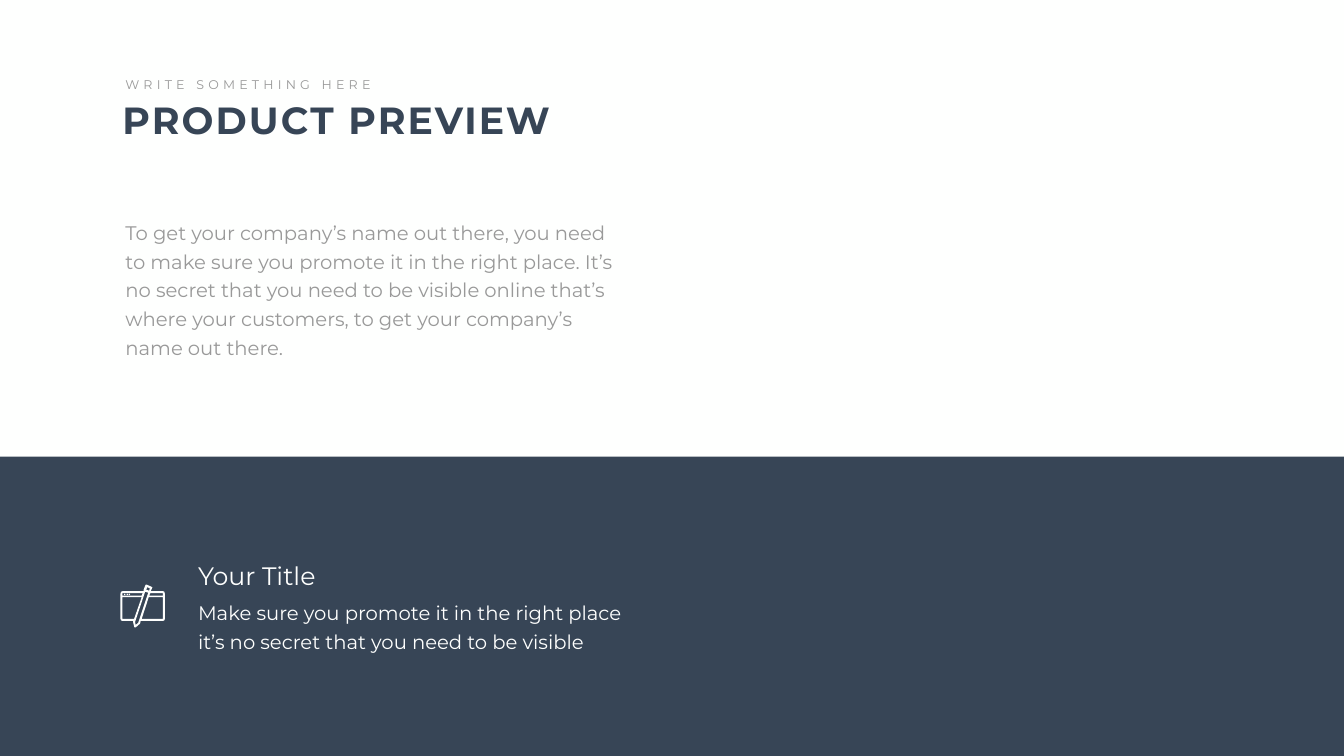
from pptx import Presentation
from pptx import util as u
from pptx.dml.color import RGBColor
from pptx.enum import shapes, text

PX = 9144
FONT = "Montserrat"
NAVY, GRAY, WHITE = "374556", "999999", "FEFFFE"
BODY_SIZE, BODY_LEADING = 28, 40.8

WINDOW_AND_PEN = [
    [(323, 1228), (281, 1228), (295, 1185), (323, 1185)],
    [(269, 1240), (268, 1234), (288, 1174), (294, 1176), (274, 1236)],
    [(243, 1228), (243, 1185), (281, 1185), (266, 1228)],
    [(243, 1177), (283, 1177), (281, 1182), (243, 1182)],
    [(292, 1165), (297, 1167), (296, 1172), (290, 1170)],
    [(323, 1177), (323, 1182), (296, 1182), (298, 1177)],
    [(323, 1173), (299, 1173), (302, 1166), (302, 1165), (300, 1164),
     (291, 1160), (289, 1160), (288, 1162), (285, 1170), (285, 1173),
     (243, 1173), (240, 1174), (239, 1178), (239, 1228), (240, 1231),
     (243, 1232), (264, 1232), (264, 1234), (266, 1243), (267, 1245),
     (269, 1245), (277, 1238), (278, 1237), (279, 1232), (323, 1232),
     (326, 1231), (327, 1228), (327, 1178), (326, 1174)],
]


def px(*lengths):
    """Turn px lengths into EMU."""
    return [u.Emu(n * PX) for n in lengths]


def rgb(color):
    """Turn a hex string into a colour."""
    return RGBColor.from_string(color)


def paint(sp, color):
    """Give a shape a plain fill with no line or shadow."""
    sp.fill.solid()
    sp.fill.fore_color.rgb = rgb(color)
    sp.line.fill.background()
    sp.shadow.inherit = False


def add_text(parent, box, words, size, color, bold=False, tracking=0,
             leading=None, wrap=True):
    """Add a text box holding one paragraph."""
    tf = parent.add_textbox(*px(*box)).text_frame
    tf.word_wrap = wrap
    tf.auto_size = text.MSO_AUTO_SIZE.SHAPE_TO_FIT_TEXT
    p = tf.paragraphs[0]
    if leading:
        p.line_spacing = u.Pt(leading)
    r = p.add_run()
    r.text = words
    r.font.name = FONT
    r.font.size = u.Pt(size)
    r.font.bold = bold
    r.font.color.rgb = rgb(color)
    if tracking:
        r._r.get_or_add_rPr().set("spc", str(tracking * 100))


def add_preset(parent, kind, box, color):
    """Add a filled preset shape."""
    paint(parent.add_shape(kind, *px(*box)), color)


def add_outline(parent, contours, color):
    """Add a filled freeform made of closed contours."""
    first, *rest = contours
    builder = parent.build_freeform(*first[0], scale=PX)
    builder.add_line_segments(first[1:], close=True)
    for contour in rest:
        builder.move_to(*contour[0])
        builder.add_line_segments(contour[1:], close=True)
    paint(builder.convert_to_shape(), color)


def add_heading(s):
    """Add the grouped title and the small line above it."""
    heading = s.shapes.add_group_shape().shapes
    add_text(heading, (233, 187, 1028, 101), "PRODUCT PREVIEW", 54, NAVY,
             bold=True, tracking=3)
    add_text(heading, (239, 147, 518, 40), "WRITE SOMETHING HERE", 18, GRAY,
             tracking=6, wrap=False)


def add_feature(s):
    """Add the grouped icon, feature title and feature text."""
    feature = s.shapes.add_group_shape().shapes
    add_outline(feature, WINDOW_AND_PEN, WHITE)
    for left in (246, 251, 255):
        add_preset(feature, shapes.MSO_SHAPE.OVAL, (left, 1178, 3, 3), WHITE)
    add_text(feature, (383, 1178, 877, 120),
             "Make sure you promote it in the right place it’s no secret "
             "that you need to be visible",
             BODY_SIZE, WHITE, leading=BODY_LEADING)
    add_text(feature, (383, 1107, 481, 71), "Your Title", 36, WHITE)


def main():
    """Build the slide and save it."""
    prs = Presentation()
    prs.slide_width, prs.slide_height = px(2666, 1500)
    s = prs.slides.add_slide(prs.slide_layouts[6])
    s.background.fill.solid()
    s.background.fill.fore_color.rgb = rgb(WHITE)
    add_heading(s)
    add_preset(s.shapes, shapes.MSO_SHAPE.RECTANGLE, (0, 906, 2666, 594), NAVY)
    add_text(s.shapes, (239, 424, 1002, 293),
             "To get your company’s name out there, you need to make sure "
             "you promote it in the right place. It’s no secret that you "
             "need to be visible online that’s where your customers, to get "
             "your company’s name out there.",
             BODY_SIZE, GRAY, leading=BODY_LEADING)
    add_feature(s)
    prs.save("out.pptx")


if __name__ == "__main__":
    main()
